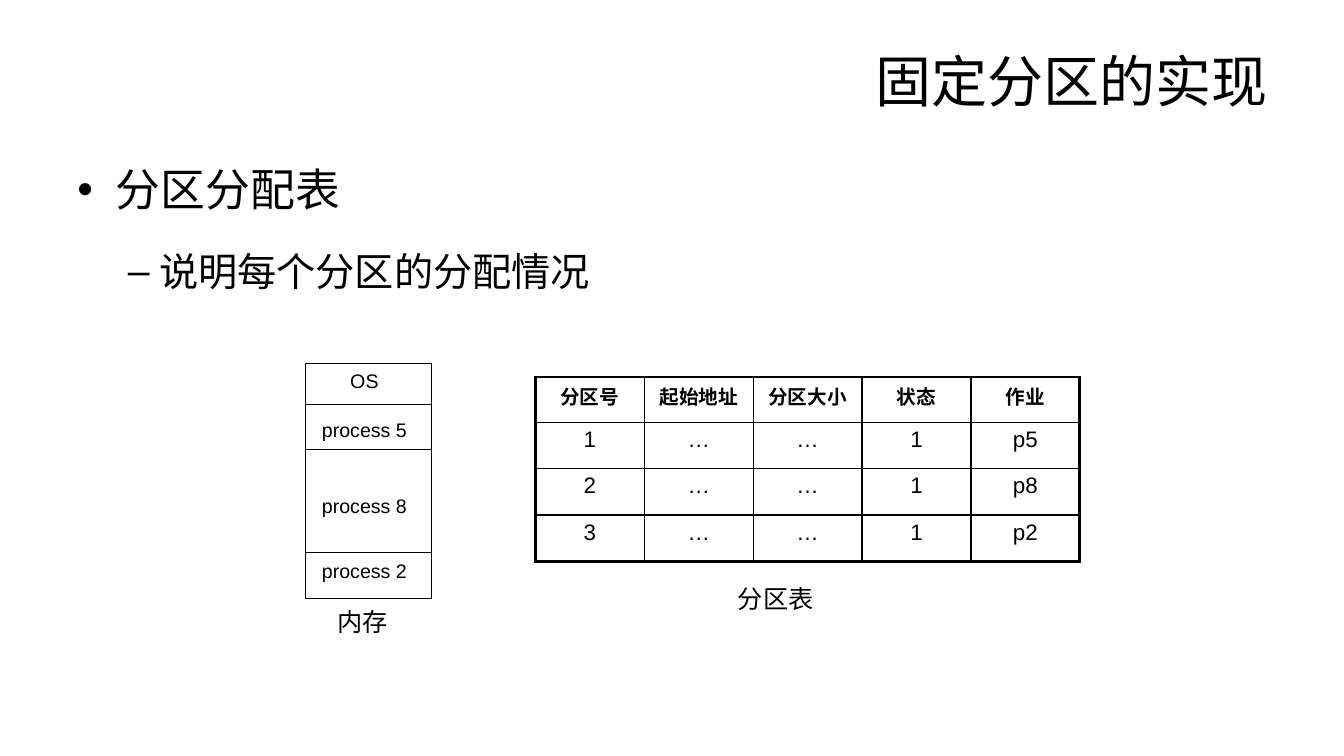
from lxml import etree
from pptx import Presentation
from pptx.dml.color import RGBColor
from pptx.enum.shapes import MSO_CONNECTOR, MSO_SHAPE
from pptx.enum.text import MSO_ANCHOR, PP_ALIGN
from pptx.oxml.ns import qn
from pptx.util import Pt

PX = 9144  # EMU in one px, 100 px to the inch
LEFT, CENTER, RIGHT = PP_ALIGN.LEFT, PP_ALIGN.CENTER, PP_ALIGN.RIGHT
TOP, MIDDLE = MSO_ANCHOR.TOP, MSO_ANCHOR.MIDDLE
RECTANGLE, STRAIGHT = MSO_SHAPE.RECTANGLE, MSO_CONNECTOR.STRAIGHT
LATIN, CJK = "Arial", "Noto Sans CJK SC"
BLACK, WHITE = "000000", "FFFFFF"
THIN, INNER, OUTER = 0.75, 1, 2.25

MEMORY_LEFT, MEMORY_TOP, MEMORY_WIDTH, MEMORY_HEIGHT = 303, 361, 125, 233
PARTITION_LINES = [401, 446, 548]
PARTITION_LABELS = [("OS", 361), ("process 5", 410), ("process 8", 485), ("process 2", 550)]
ROW_HEIGHTS = [45, 46, 46, 46]
COLUMN_WIDTH = 108
PARTITION_TABLE = [
    ["分区号", "起始地址", "分区大小", "状态", "作业"],
    ["1", "…", "…", "1", "p5"],
    ["2", "…", "…", "1", "p8"],
    ["3", "…", "…", "1", "p2"],
]


def px(*lengths):
    return [length * PX for length in lengths]


def color(value):
    return RGBColor.from_string(value)


def write(para, text, size, font=LATIN, bold=False, align=LEFT):
    """Put one formatted run into a paragraph."""
    para.alignment = align
    span = para.add_run()
    span.text = text
    span.font.size = Pt(size)
    span.font.bold = bold
    span.font.name = font
    span.font.color.rgb = color(BLACK)
    east_asian = etree.SubElement(span.font._element, qn("a:ea"))
    east_asian.set("typeface", CJK)


def add_title(slide, text):
    title = slide.shapes.title
    title.left, title.top, title.width, title.height = px(67, 30, 1200, 99)
    title.text_frame.vertical_anchor = MIDDLE
    write(title.text_frame.paragraphs[0], text, 40, align=RIGHT)


def add_box(slide, left, top, width, height, anchor=TOP):
    """Add an empty wrapping text box and return its text frame."""
    frame = slide.shapes.add_textbox(*px(left, top, width, height)).text_frame
    frame.word_wrap = True
    frame.vertical_anchor = anchor
    return frame


def add_label(slide, text, left, top, width, height, anchor=TOP, **style):
    frame = add_box(slide, left, top, width, height, anchor)
    write(frame.paragraphs[0], text, **style)


def set_bullet(para, char, margin, hanging):
    properties = para._p.get_or_add_pPr()
    properties.set("marL", str(margin * PX))
    properties.set("indent", str(-hanging * PX))
    etree.SubElement(properties, qn("a:buFont")).set("typeface", LATIN)
    etree.SubElement(properties, qn("a:buChar")).set("char", char)


def add_outline(slide):
    frame = add_box(slide, 67, 129, 597, 197)
    topic = frame.paragraphs[0]
    detail = frame.add_paragraph()
    set_bullet(topic, "•", 38, 38)
    set_bullet(detail, "–", 81, 31)
    detail.level = 1
    detail.space_before = Pt(6)
    topic.line_spacing = detail.line_spacing = 1.5
    write(topic, "分区分配表", 32, font=CJK)
    write(detail, "说明每个分区的分配情况", 28, font=CJK)


def set_border(cell, side, width):
    line = etree.SubElement(cell._tc.get_or_add_tcPr(), qn(f"a:ln{side}"), w=str(Pt(width)))
    fill = etree.SubElement(line, qn("a:solidFill"))
    etree.SubElement(fill, qn("a:srgbClr")).set("val", BLACK)


def add_partition_table(slide, left, top):
    rows, columns = len(PARTITION_TABLE), len(PARTITION_TABLE[0])
    size = px(left, top, COLUMN_WIDTH * columns, sum(ROW_HEIGHTS))
    table = slide.shapes.add_table(rows, columns, *size).table
    table.first_row = table.horz_banding = False
    for row, height in zip(table.rows, ROW_HEIGHTS):
        row.height = height * PX
    for r, texts in enumerate(PARTITION_TABLE):
        for c, text in enumerate(texts):
            cell = table.cell(r, c)
            on_edge = {"L": c == 0, "R": c == columns - 1, "T": r == 0, "B": r == rows - 1}
            for side, outer in on_edge.items():
                set_border(cell, side, OUTER if outer else INNER)
            cell.fill.background()
            header = r == 0
            write(cell.text_frame.paragraphs[0], text, 14 if header else 16,
                  bold=header, align=CENTER)


def add_divider(slide, y):
    ends = px(MEMORY_LEFT, y, MEMORY_LEFT + MEMORY_WIDTH, y)
    divider = slide.shapes.add_connector(STRAIGHT, *ends)
    divider.line.color.rgb = color(BLACK)
    divider.line.width = Pt(THIN)
    etree.SubElement(divider._element.spPr, qn("a:effectLst"))


def add_memory(slide):
    memory = slide.shapes.add_shape(
        RECTANGLE, *px(MEMORY_LEFT, MEMORY_TOP, MEMORY_WIDTH, MEMORY_HEIGHT))
    memory.shadow.inherit = False
    memory.fill.solid()
    memory.fill.fore_color.rgb = color(WHITE)
    memory.line.color.rgb = color(BLACK)
    memory.line.width = Pt(THIN)
    for y in PARTITION_LINES:
        add_divider(slide, y)
    for text, y in PARTITION_LABELS:
        add_label(slide, text, MEMORY_LEFT, y, 117, 33, anchor=MIDDLE, size=14, align=CENTER)


def main():
    deck = Presentation()
    deck.slide_width, deck.slide_height = px(1333, 750)
    slide = deck.slides.add_slide(deck.slide_layouts[5])
    add_title(slide, "固定分区的实现")
    add_outline(slide)
    add_partition_table(slide, 531, 374)
    add_memory(slide)
    add_label(slide, "内存", 325, 597, 94, 40, size=18, font=CJK)
    add_label(slide, "分区表", 722, 574, 105, 40, size=18, font=CJK)
    deck.save("out.pptx")


if __name__ == "__main__":
    main()
